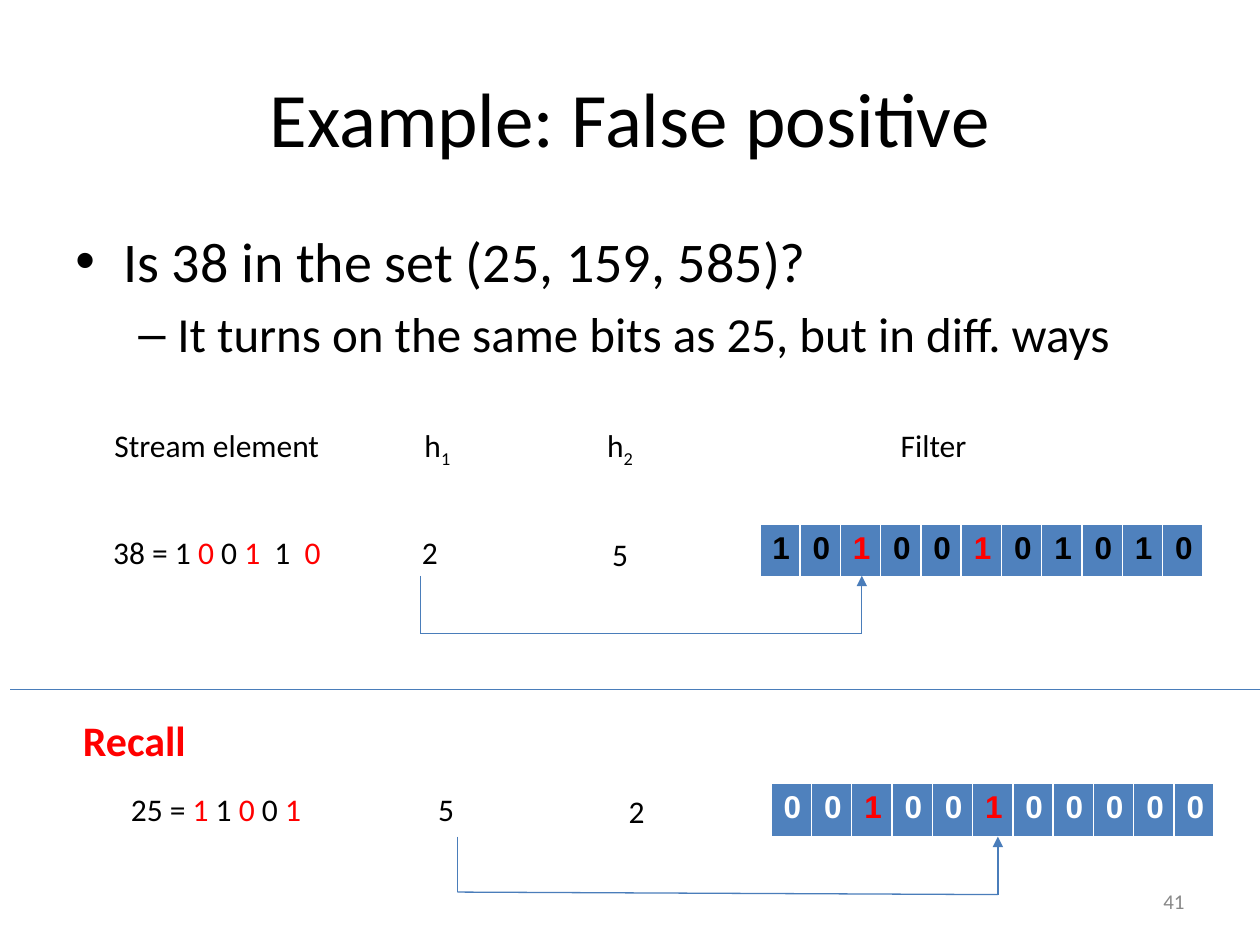
from lxml import etree
from pptx import Presentation
from pptx.dml.color import RGBColor
from pptx.enum.shapes import MSO_CONNECTOR
from pptx.enum.text import MSO_ANCHOR, PP_ALIGN
from pptx.oxml.ns import qn
from pptx.util import Inches, Pt

STRAIGHT = MSO_CONNECTOR.STRAIGHT
MIDDLE = MSO_ANCHOR.MIDDLE
LEFT, CENTER, RIGHT = PP_ALIGN.LEFT, PP_ALIGN.CENTER, PP_ALIGN.RIGHT

BLACK = RGBColor(0x00, 0x00, 0x00)
WHITE = RGBColor(0xFF, 0xFF, 0xFF)
RED = RGBColor(0xFF, 0x00, 0x00)
GRAY = RGBColor(0x88, 0x88, 0x88)
CELL_BLUE = RGBColor(0x4F, 0x81, 0xBD)
LINE_BLUE = RGBColor(0x4A, 0x7D, 0xBA)

CELL_WIDTH = 0.32
ROW_HEIGHT = 0.42
SHARED_BITS = (2, 5)


class SlideBuilder:
    font_name = "Calibri"
    bit_font = "Arial"
    text_size = 18
    line_width = 0.75

    def __init__(self, page):
        self.page = page

    def span(self, para, text, size=text_size, color=BLACK, bold=False, name=font_name):
        span = para.add_run()
        span.text = text
        span.font.name = name
        span.font.size = Pt(size)
        span.font.color.rgb = color
        span.font.bold = bold
        return span

    def title(self, text, left, top, width, height):
        box = self.page.shapes.title
        box.left, box.top = Inches(left), Inches(top)
        box.width, box.height = Inches(width), Inches(height)
        box.text_frame.vertical_anchor = MIDDLE
        para = box.text_frame.paragraphs[0]
        para.alignment = CENTER
        self.span(para, text, 44)

    def box(self, left, top, width, height=0.4, wrap=False):
        box = self.page.shapes.add_textbox(
            Inches(left), Inches(top), Inches(width), Inches(height))
        box.text_frame.word_wrap = wrap
        return box.text_frame

    def label(self, spans, left, top, width, height=0.4, size=text_size,
              bold=False, align=LEFT):
        frame = self.box(left, top, width, height)
        para = frame.paragraphs[0]
        para.alignment = align
        for text, color in spans:
            self.span(para, text, size, color, bold)
        return para

    def hash_label(self, index, left, top):
        para = self.label([("h", BLACK)], left, top, 0.42)
        subscript = self.span(para, index)
        subscript.font._element.set("baseline", "-25000")

    def bullets(self, items, left, top, width, height):
        frame = self.box(left, top, width, height, wrap=True)
        for level, (text, size, mark, margin, hang, before) in enumerate(items):
            para = frame.paragraphs[0] if level == 0 else frame.add_paragraph()
            para.level = level
            para.space_before = Pt(before)
            properties = para._p.get_or_add_pPr()
            properties.set("marL", str(Inches(margin)))
            properties.set("indent", str(-Inches(hang)))
            bullet_font = etree.SubElement(properties, qn("a:buFont"))
            bullet_font.set("typeface", self.bit_font)
            etree.SubElement(properties, qn("a:buChar")).set("char", mark)
            self.span(para, text, size)

    def bit_table(self, bits, left, top, color):
        table = self.page.shapes.add_table(
            1, len(bits), Inches(left), Inches(top),
            Inches(CELL_WIDTH * len(bits)), Inches(ROW_HEIGHT)).table
        table.rows[0].height = Inches(ROW_HEIGHT)
        for index, bit in enumerate(bits):
            table.columns[index].width = Inches(CELL_WIDTH)
            cell = table.cell(0, index)
            cell.fill.solid()
            cell.fill.fore_color.rgb = CELL_BLUE
            bit_color = RED if index in SHARED_BITS else color
            self.span(cell.text_frame.paragraphs[0], bit, color=bit_color,
                      bold=True, name=self.bit_font)

    def line(self, start, end, arrow=False):
        line = self.page.shapes.add_connector(
            STRAIGHT, *(Inches(value) for value in start + end))
        line.line.color.rgb = LINE_BLUE
        line.line.width = Pt(self.line_width)
        if arrow:
            outline = line.line._get_or_add_ln()
            etree.SubElement(outline, qn("a:tailEnd")).set("type", "triangle")
        etree.SubElement(line._element.spPr, qn("a:effectLst"))

    def hash_link(self, start_x, end_x, top, start_bottom, end_bottom):
        self.line((start_x, top), (start_x, start_bottom))
        self.line((start_x, start_bottom), (end_x, end_bottom))
        self.line((end_x, end_bottom), (end_x, top), arrow=True)


def main():
    deck = Presentation()
    deck.slide_width, deck.slide_height = Inches(10), Inches(7.5)
    builder = SlideBuilder(deck.slides.add_slide(deck.slide_layouts[5]))

    builder.title("Example: False positive", 0.5, 0.3, 9, 1.25)
    builder.bullets([
        ("Is 38 in the set (25, 159, 585)?", 32, "•", 0.38, 0.38, 0),
        ("It turns on the same bits as 25, but in diff. ways", 28, "–", 0.81, 0.31, 5.6),
    ], 0.5, 1.75, 9, 4.95)

    builder.label([("Stream element", BLACK)], 0.81, 3.33, 1.85)
    builder.hash_label("1", 3.27, 3.33)
    builder.hash_label("2", 4.72, 3.33)
    builder.label([("Filter", BLACK)], 7.05, 3.33, 0.73)

    builder.label([("38 = 1 ", BLACK), ("0", RED), (" 0 ", BLACK), ("1", RED),
                   ("  1  ", BLACK), ("0", RED)], 0.8, 4.18, 1.87)
    builder.label([("2", BLACK)], 3.25, 4.18, 0.33)
    builder.label([("5", BLACK)], 4.76, 4.2, 0.33)
    builder.bit_table("10100101010", 6.03, 4.16, BLACK)
    builder.hash_link(3.34, 6.84, 4.57, 5.03, 5.03)

    builder.line((0.08, 5.47), (10, 5.47))

    builder.label([("Recall", RED)], 0.56, 5.62, 1.03, 0.5, size=24, bold=True)
    builder.label([("25 = ", BLACK), ("1", RED), (" 1 ", BLACK), ("0", RED),
                   (" 0 ", BLACK), ("1", RED)], 0.94, 6.22, 1.57)
    builder.label([("5", BLACK)], 3.38, 6.22, 0.33)
    builder.label([("2", BLACK)], 4.89, 6.24, 0.33)
    builder.bit_table("00100100000", 6.12, 6.22, WHITE)
    builder.hash_link(3.63, 7.92, 6.64, 7.08, 7.1)

    number = builder.box(7.17, 6.95, 2.33, wrap=True)
    number.vertical_anchor = MIDDLE
    number.paragraphs[0].alignment = RIGHT
    builder.span(number.paragraphs[0], "41", 12, GRAY)

    deck.save("out.pptx")


if __name__ == "__main__":
    main()
